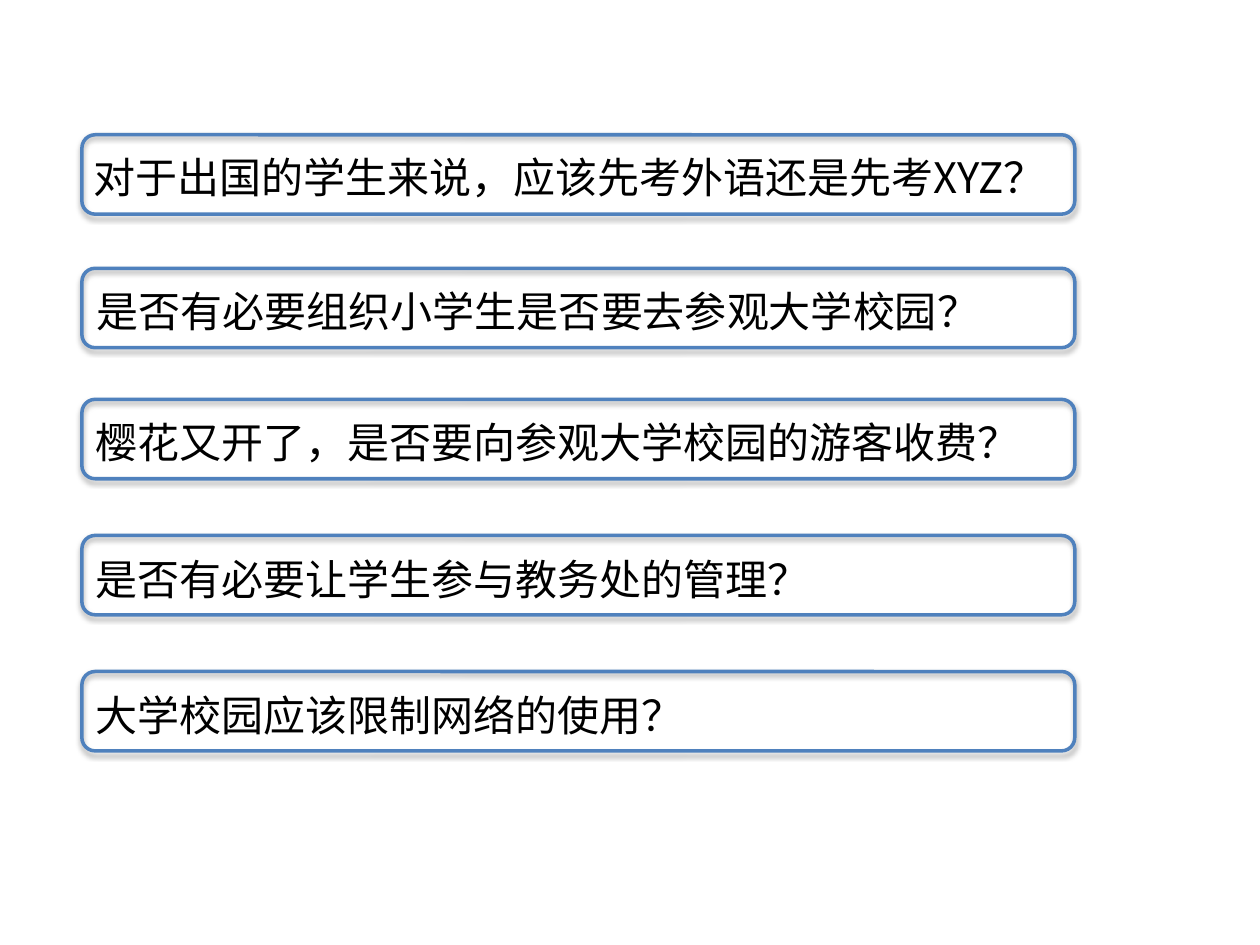
from typing import NamedTuple

from lxml.etree import SubElement
from pptx import Presentation
from pptx.dml.color import RGBColor
from pptx.enum.lang import MSO_LANGUAGE_ID
from pptx.enum.shapes import MSO_SHAPE
from pptx.enum.text import MSO_AUTO_SIZE
from pptx.oxml.ns import qn
from pptx.shapes.autoshape import Shape
from pptx.slide import Slide
from pptx.util import Inches, Pt

BLUE = RGBColor(0x4F, 0x81, 0xBD)
BLACK = RGBColor(0x00, 0x00, 0x00)
FONT = "Noto Sans CJK SC"
FRAME_LEFT, FRAME_WIDTH, FRAME_HEIGHT = 0.65, 7.88, 0.63
TEXT_WIDTH, TEXT_HEIGHT = 8.4, 0.5


class Question(NamedTuple):
    wording: str
    frame_top: float
    text_left: float
    text_drop: float = 0.09


QUESTIONS = [
    Question("对于出国的学生来说，应该先考外语还是先考XYZ？", 1.07, 0.69, 0.08),
    Question("是否有必要组织小学生是否要去参观大学校园？", 2.13, 0.72),
    Question("樱花又开了，是否要向参观大学校园的游客收费？", 3.17, 0.71),
    Question("是否有必要让学生参与教务处的管理？", 4.25, 0.71),
    Question("大学校园应该限制网络的使用？", 5.33, 0.71),
]


def add_soft_shadow(frame: Shape) -> None:
    effects = SubElement(frame.element.spPr, qn("a:effectLst"))
    shadow = SubElement(effects, qn("a:outerShdw"), blurRad=str(Pt(3)),
                        dist=str(Pt(1.8)), dir="5400000", rotWithShape="0")
    colour = SubElement(shadow, qn("a:srgbClr"), val=str(BLACK))
    SubElement(colour, qn("a:alpha"), val="35000")


def draw_question(slide: Slide, question: Question) -> None:
    group = slide.shapes.add_group_shape()
    label = group.shapes.add_textbox(
        Inches(question.text_left), Inches(question.frame_top + question.text_drop),
        Inches(TEXT_WIDTH), Inches(TEXT_HEIGHT))
    content = label.text_frame
    content.word_wrap = True
    content.auto_size = MSO_AUTO_SIZE.SHAPE_TO_FIT_TEXT
    content.margin_left = content.margin_right = Inches(0.05)
    content.margin_top = content.margin_bottom = Inches(0.05)
    content.text = question.wording
    font = content.paragraphs[0].runs[0].font
    font.name = FONT
    font.size = Pt(24)
    font.color.rgb = BLACK
    font.language_id = MSO_LANGUAGE_ID.SIMPLIFIED_CHINESE
    SubElement(font._element, qn("a:ea"), typeface=FONT)

    frame = group.shapes.add_shape(
        MSO_SHAPE.ROUNDED_RECTANGLE, Inches(FRAME_LEFT), Inches(question.frame_top),
        Inches(FRAME_WIDTH), Inches(FRAME_HEIGHT))
    frame.fill.background()
    frame.line.color.rgb = BLUE
    frame.line.width = Pt(2)
    add_soft_shadow(frame)


def main() -> None:
    deck = Presentation()
    deck.slide_width, deck.slide_height = Inches(10), Inches(7.5)
    slide = deck.slides.add_slide(deck.slide_layouts[6])
    for question in QUESTIONS:
        draw_question(slide, question)
    deck.save("out.pptx")


if __name__ == "__main__":
    main()
